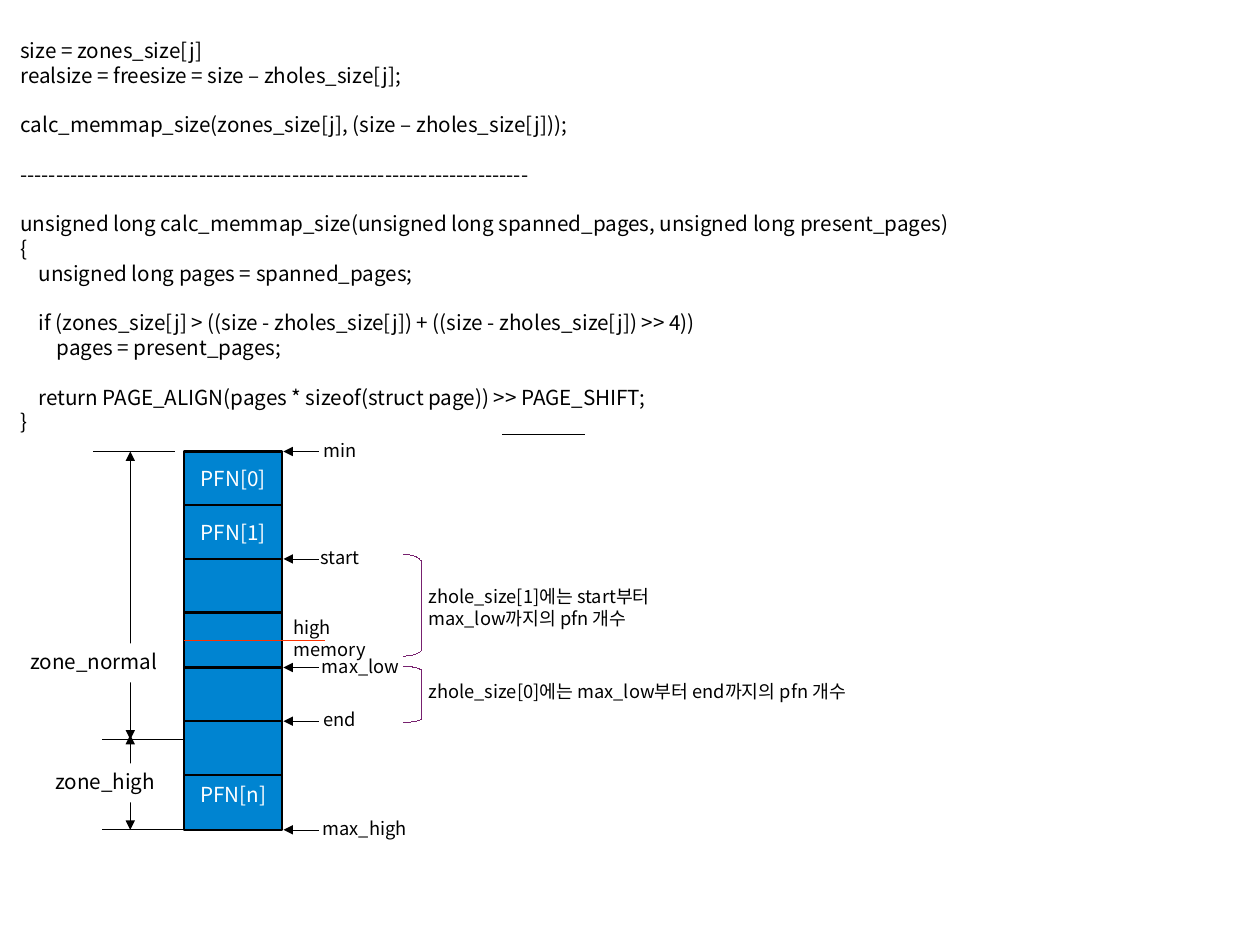
from dataclasses import dataclass
from lxml.etree import SubElement
from pptx import Presentation
from pptx.dml.color import RGBColor
from pptx.enum.shapes import MSO_CONNECTOR as Conn, MSO_SHAPE as Form
from pptx.enum.text import MSO_ANCHOR as Anchor, MSO_AUTO_SIZE as Auto, PP_ALIGN as Align
from pptx.oxml.ns import qn
from pptx.util import Cm, Pt

PX = 9144  # 100 px to the inch


@dataclass(frozen=True)
class Theme:
    font: str = "Noto Sans CJK KR"
    ink: str = "000000"
    paper: str = "FFFFFF"
    cell: str = "0084D1"
    limit: str = "FF3300"
    brace: str = "77216F"
    big: float = 13
    small: float = 11.5
    gap: float = 15.6
    edge: float = 1.42
    hair: float = 0


T = Theme()

# text, indent level, space above in lines
CODE = [
    ("size = zones_size[j]", 0, 0),
    ("realsize = freesize = size – zholes_size[j];", 0, 0),
    ("calc_memmap_size(zones_size[j], (size – zholes_size[j]));", 0, 1),
    ("-" * 71, 0, 1),
    ("unsigned long calc_memmap_size(unsigned long spanned_pages, "
     "unsigned long present_pages)", 0, 1),
    ("{", 0, 0),
    ("unsigned long pages = spanned_pages;", 1, 0),
    ("if (zones_size[j] > ((size - zholes_size[j]) + "
     "((size - zholes_size[j]) >> 4))", 1, 1),
    ("pages = present_pages;", 2, 0),
    ("return PAGE_ALIGN(pages * sizeof(struct page)) >> PAGE_SHIFT;", 1, 1),
    ("}", 0, 0),
]
CELLS = ["PFN[0]", "PFN[1]", "", "", "", "", "PFN[n]"]
# label, cell edge it points at, label width
MARKS = [("min", 0, 55), ("start", 2, 55), ("max_low", 4, 91),
         ("end", 5, 55), ("max_high", 7, 98)]


def emu(*vals):
    return [v * PX for v in vals]


def rgb(code):
    return RGBColor.from_string(code)


def write(shape, rows, size=T.small, color=T.ink, align=Align.LEFT,
          anchor=Anchor.TOP, wrap=True, pad=(10, 5)):
    """Fill a shape with rows, each a string or (text, indent, gap)."""
    frame = shape.text_frame
    frame.word_wrap, frame.auto_size = wrap, Auto.NONE
    frame.vertical_anchor = anchor
    frame.margin_left = frame.margin_right = pad[0] * PX
    frame.margin_top = frame.margin_bottom = pad[1] * PX
    for i, row in enumerate(rows):
        words, level, gap = (row, 0, 0) if isinstance(row, str) else row
        para = frame.add_paragraph() if i else frame.paragraphs[0]
        para.alignment = align
        if gap:
            para.space_before = Pt(gap * T.gap)
        if level:
            para._p.get_or_add_pPr().set("marL", str(16 * level * PX))
        run = para.add_run()
        run.text = words
        run.font.size, run.font.name = Pt(size), T.font
        run.font.color.rgb = rgb(color)
        SubElement(run._r.rPr, qn("a:ea"), typeface=T.font)


def label(slide, box, *rows, **kw):
    write(slide.shapes.add_textbox(*emu(*box)), rows, **kw)


def stroke(item, color, width=T.hair):
    """Set the line; a width of 0 must be written out to give a hairline."""
    item.line.color.rgb = rgb(color)
    item.line._get_or_add_ln().set("w", str(int(Pt(width))))


def shape(slide, form, box, fill=None, line=None, width=T.hair):
    item = slide.shapes.add_shape(form, *emu(*box))
    item.shadow.inherit = False
    if fill:
        item.fill.solid()
        item.fill.fore_color.rgb = rgb(fill)
    else:
        item.fill.background()
    if line:
        stroke(item, line, width)
    else:
        item.line.fill.background()
    return item


def rule(slide, x1, y1, x2, y2, color=T.ink, ends=()):
    item = slide.shapes.add_connector(Conn.STRAIGHT, *emu(x1, y1, x2, y2))
    stroke(item, color)
    for end in ends:
        SubElement(item.line._get_or_add_ln(), qn("a:" + end), type="triangle")
    SubElement(item._element.spPr, qn("a:effectLst"))


def stack(slide, x, y, w, h):
    """Draw the page frames, the marks on their edges and the memory limit."""
    edges = [y + h * i // len(CELLS) for i in range(len(CELLS) + 1)]
    for i, name in enumerate(CELLS):
        cell = shape(slide, Form.RECTANGLE, (x, edges[i], w, edges[i + 1] - edges[i]),
                     T.cell, T.ink, T.edge)
        if name:
            last = i == len(CELLS) - 1
            write(cell, [name], size=T.big, color=T.paper, align=Align.CENTER,
                  anchor=Anchor.TOP if last else Anchor.MIDDLE, wrap=last, pad=(11, 6))
    rule(slide, x, y + 165, x + 123, y + 165, T.limit)
    label(slide, (x + w, y + 139, 118, 29), "high memory")
    for name, i, wide in MARKS:
        rule(slide, x + w + 32, edges[i], x + w + 1, edges[i], ends=["tailEnd"])
        label(slide, (x + w + 23, edges[i] - 16, wide, 29), name, align=Align.CENTER)


def zones(slide, x, y, w, h):
    """Draw the two zone spans to the left of the frames."""
    split, axis = y + 252, x + 99
    for left, top in ((x + 67, y), (x + 75, split), (x + 75, y + h)):
        rule(slide, left + 71, top, left, top)
    for top, end in ((y, split), (split - 4, y + h)):
        rule(slide, axis, top, axis, end, ends=["headEnd", "tailEnd"])
    for name, left, top in (("zone_normal", x, y + 168), ("zone_high", x + 20, y + 273)):
        tag = shape(slide, Form.RECTANGLE, (left, top, x + w - left, 34), T.paper)
        write(tag, [name], size=T.big, align=Align.CENTER)


def hole(slide, x, y, w, h, curve, note, *rows):
    """Draw a bracket in the box, with a note (top, width) at its right."""
    brace = shape(slide, Form.RIGHT_BRACKET, (x, y, w, h), line=T.brace)
    brace.adjustments[0] = curve / w
    label(slide, (x + w - 4, y + note[0], note[1], 29), *rows)


def main():
    deck = Presentation()
    deck.slide_width, deck.slide_height = Cm(28), Cm(21)
    slide = deck.slides.add_slide(deck.slide_layouts[6])
    label(slide, (8, 28, 1024, 426), *CODE, size=T.big)
    rule(slide, 511, 380, 440, 380)
    stack(slide, 161, 395, 86, 331)
    zones(slide, 15, 395, 134, 331)
    hole(slide, 353, 583, 16, 49, 4, (7, 421),
         "zhole_size[0]에는 max_low부터 end까지의 pfn 개수")
    hole(slide, 353, 485, 16, 89, 7, (22, 224),
         "zhole_size[1]에는 start부터", "max_low까지의 pfn 개수")
    deck.save("out.pptx")


if __name__ == "__main__":
    main()
